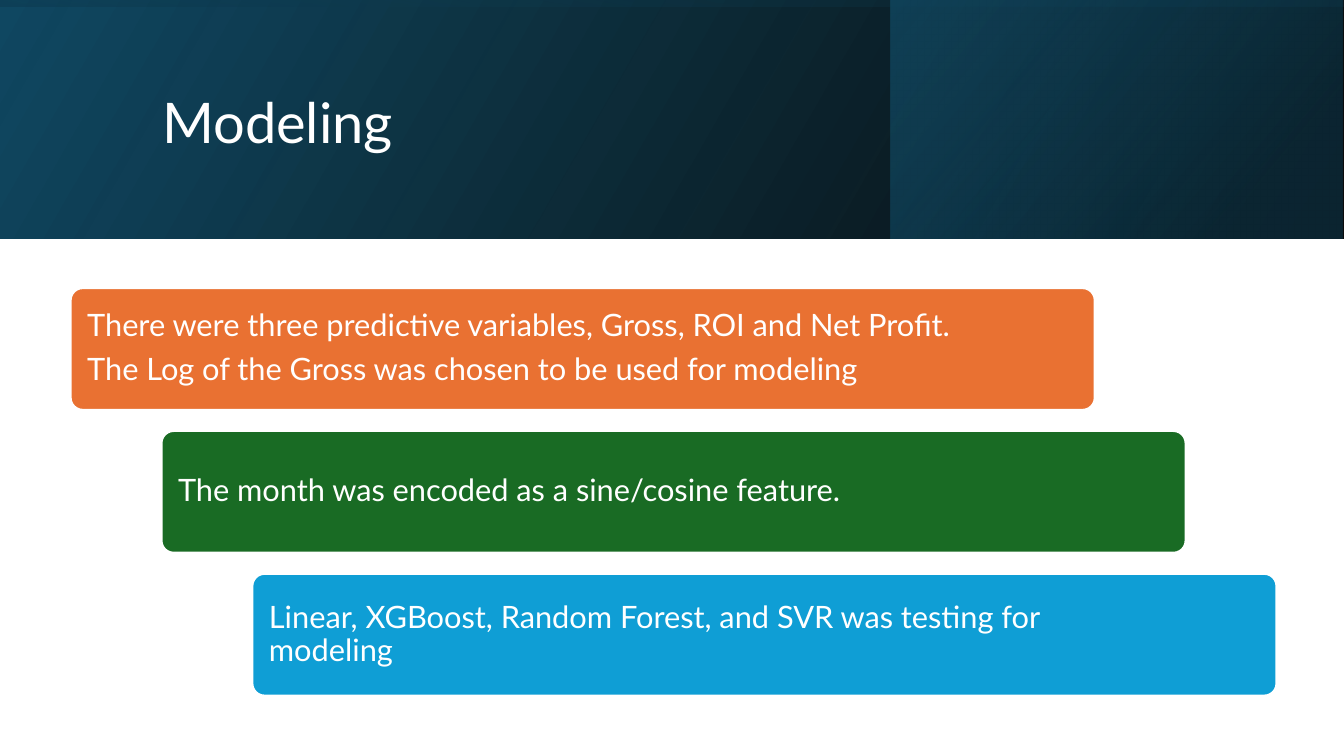
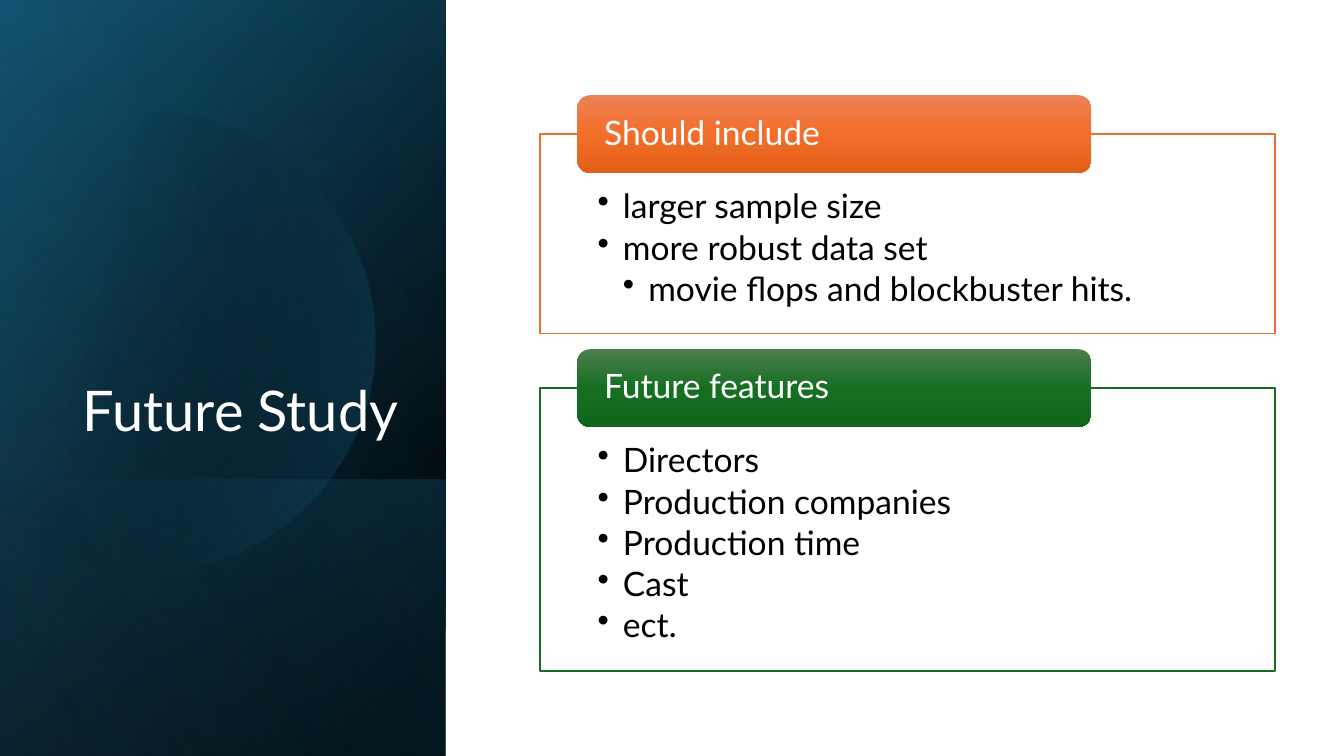
import math

import pptx
import pptx.dml.color
import pptx.enum.shapes
import pptx.enum.text
import pptx.oxml.ns
import pptx.util
from lxml import etree

Cm, Pt = pptx.util.Cm, pptx.util.Pt
qn = pptx.oxml.ns.qn
SHAPES = pptx.enum.shapes.MSO_SHAPE
ALIGN = pptx.enum.text.PP_ALIGN
ANCHOR = pptx.enum.text.MSO_ANCHOR

# Content
MODELING_TITLE = "Modeling"
MODELING_STEPS = [
    ("orange", ["There were three predictive variables, Gross, ROI and Net Profit.",
                "The Log of the Gross was chosen to be used for modeling"]),
    ("green", ["The month was encoded as a sine/cosine feature."]),
    ("blue", ["Linear, XGBoost, Random Forest, and SVR was testing for modeling"]),
]
FUTURE_TITLE = "Future Study"
FUTURE_CARDS = [  # line colour, heading, (indent level, text)
    ("orange", "Should include", [(0, "larger sample size"), (0, "more robust data set"),
                                  (1, "movie flops and blockbuster hits.")]),
    ("green", "Future features", [(0, "Directors"), (0, "Production companies"),
                                  (0, "Production time"), (0, "Cast"), (0, "ect.")]),
]

# Shared style, lengths in centimetres
FONT = "Lato"
COLORS = {
    "white": "FFFFFF", "black": "000000", "orange": "E97132", "green": "196B24",
    "blue": "0F9ED5", "navy": "104862", "deep": "0B3041", "teal": "156082", "sky": "46B1E1",
    "orange light": "ED8257", "orange mid": "F26E29", "orange dark": "E25F1A",
    "green light": "4D7E50", "green mid": "156F21", "green dark": "0F661B",
}
SLIDE_WIDTH, SLIDE_HEIGHT = 33.87, 19.05
BAND_HEIGHT = 6.02
SIDE_WIDTH = 11.23
BULLET_INDENT = 0.64

# Panels: box (left, top, width, height), rotation, angle, stops (position, colour, opacity)
BAND_PANELS = [
    ((0, 0, SLIDE_WIDTH, BAND_HEIGHT), 0, 330, [(0, "black", 96), (100, "navy", 100)]),
    ((22.45, 0, 11.38, BAND_HEIGHT), 0, 320, [(19, "deep", 68), (100, "teal", 48)]),
    ((0, 0, SLIDE_WIDTH, BAND_HEIGHT), 270, 350, [(23, "navy", 16), (99, "black", 45)]),
]
SIDE_BOX = (0, 0, SIDE_WIDTH, SLIDE_HEIGHT)
SIDE_PANELS = [
    (SIDE_BOX, 90, 50, [(8, "black", 100), (100, "navy", 100)]),
    (SIDE_BOX, 90, 30, [(0, "black", 0), (99, "teal", 46)]),
    ((0, 12.09, SIDE_WIDTH, 6.96), 90, 130, [(2, "teal", 29), (100, "black", 30)]),
]
SIDE_GLOW = (SIDE_BOX, 90, 120, [(0, "black", 0), (99, "sky", 11)])
DISC_CENTER, DISC_RADIUS = (3.64, 8.6), 5.82
DISC_STOPS = [(29, "black", 0), (100, "teal", 43)]


def rgb(color):
    return pptx.dml.color.RGBColor.from_string(COLORS[color])


def fill_gradient(shape, angle, stops):
    shape.fill.gradient()
    gradient = shape.element.spPr.find(qn("a:gradFill"))
    gradient.clear()
    gradient.set("rotWithShape", "1")
    stop_list = etree.SubElement(gradient, qn("a:gsLst"))
    for position, color, opacity in stops:
        stop = etree.SubElement(stop_list, qn("a:gs"), pos=str(position * 1000))
        value = etree.SubElement(stop, qn("a:srgbClr"), val=COLORS[color])
        if opacity < 100:
            etree.SubElement(value, qn("a:alpha"), val=str(opacity * 1000))
    etree.SubElement(gradient, qn("a:lin"), ang=str(angle * 60000), scaled="0")


def add_box(slide, kind, box, fill=None, line=None, line_width=1):
    shape = slide.shapes.add_shape(kind, *(Cm(length) for length in box))
    shape.shadow.inherit = False
    if fill:
        shape.fill.solid()
        shape.fill.fore_color.rgb = rgb(fill)
    if line:
        shape.line.color.rgb = rgb(line)
        shape.line.width = Pt(line_width)
    else:
        shape.line.fill.background()
    return shape


def add_panel(slide, box, rotation, angle, stops):
    """Mirrored gradient panel; a quarter turn swaps the sides around the same centre."""
    left, top, width, height = box
    if rotation:
        left, top = left + (width - height) / 2, top + (height - width) / 2
        width, height = height, width
    panel = add_box(slide, SHAPES.RECTANGLE, (left, top, width, height))
    panel.rotation = rotation
    panel.element.spPr.find(qn("a:xfrm")).set("flipH", "1")
    fill_gradient(panel, angle, stops)


def add_disc(slide):
    """Circle cut off by the left edge of the slide."""
    center_x, center_y = DISC_CENTER
    limit = math.acos(-center_x / DISC_RADIUS)
    steps = 90
    angles = [limit * (2 * step / steps - 1) for step in range(steps + 1)]
    points = [(Cm(center_x + DISC_RADIUS * math.cos(angle)),
               Cm(center_y + DISC_RADIUS * math.sin(angle))) for angle in angles]
    builder = slide.shapes.build_freeform(*points[0])
    builder.add_line_segments(points[1:], close=True)
    disc = builder.convert_to_shape()
    disc.shadow.inherit = False
    disc.line.fill.background()
    fill_gradient(disc, 14, DISC_STOPS)


def write(shape, lines, size, color, insets, anchor=ANCHOR.MIDDLE, align=ALIGN.LEFT,
          after=0.0, bullets=False):
    """Write (level, text) lines; after is the space below as a share of the size."""
    frame = shape.text_frame
    frame.word_wrap = True
    frame.vertical_anchor = anchor
    (frame.margin_left, frame.margin_top,
     frame.margin_right, frame.margin_bottom) = (Cm(inset) for inset in insets)
    for index, (level, text) in enumerate(lines):
        paragraph = frame.paragraphs[0] if index == 0 else frame.add_paragraph()
        paragraph.alignment = align
        paragraph.line_spacing = 0.9
        paragraph.space_after = Pt(size * after)
        if bullets:
            paragraph.level = level
            properties = paragraph._p.get_or_add_pPr()
            properties.set("marL", str(Cm(BULLET_INDENT * (level + 1))))
            properties.set("indent", str(-Cm(BULLET_INDENT)))
            etree.SubElement(properties, qn("a:buChar"), char="•")
        run = paragraph.add_run()
        run.text = text
        run.font.name = FONT
        run.font.size = Pt(size)
        run.font.color.rgb = rgb(color)


def add_title(slide, text, box, anchor, align):
    title = slide.shapes.add_textbox(*(Cm(length) for length in box))
    write(title, [(0, text)], 40, "white", (0.25, 0.13, 0.25, 0.13), anchor, align)


def build_modeling(slide):
    for panel in BAND_PANELS:
        add_panel(slide, *panel)
    add_title(slide, MODELING_TITLE, (3.84, 0.97, 27, 4.37), ANCHOR.MIDDLE, ALIGN.LEFT)

    # Staircase of steps
    for index, (color, lines) in enumerate(MODELING_STEPS):
        box = (1.78 + 2.29 * index, 7.26 + 3.6 * index, 25.81, 3.07)
        step = add_box(slide, SHAPES.ROUNDED_RECTANGLE, box, color, "white", 1.5)
        step.adjustments[0] = 0.1
        write(step, [(0, line) for line in lines], 22, "white",
              (0.33, 0.33, 3.45, 0.33), after=0.35)


def build_future(slide):
    for panel in SIDE_PANELS:
        add_panel(slide, *panel)
    add_disc(slide)
    add_panel(slide, *SIDE_GLOW)
    add_title(slide, FUTURE_TITLE, (1.63, 4.67, 8.66, 6.65), ANCHOR.BOTTOM, ALIGN.RIGHT)

    # Cards grow with their lines; each heading straddles the top edge
    top, gap, heading_height = 3.38, 1.37, 1.96
    for color, heading, lines in FUTURE_CARDS:
        height = 1.88 + 1.05 * len(lines)
        card = add_box(slide, SHAPES.RECTANGLE, (13.61, top, 18.52, height), "white", color)
        write(card, lines, 24, "black", (1.45, 1.4, 1.45, 0.48), ANCHOR.TOP,
              after=0.15, bullets=True)
        label = add_box(slide, SHAPES.ROUNDED_RECTANGLE,
                        (14.55, top - heading_height / 2, 12.95, heading_height))
        fill_gradient(label, 90, [(0, f"{color} light", 100), (50, f"{color} mid", 100),
                                  (100, f"{color} dark", 100)])
        write(label, [(0, heading)], 24, "white", (0.58, 0, 0.58, 0), after=0.35)
        top += height + gap


def main():
    presentation = pptx.Presentation()
    presentation.slide_width = Cm(SLIDE_WIDTH)
    presentation.slide_height = Cm(SLIDE_HEIGHT)
    for build in (build_modeling, build_future):
        build(presentation.slides.add_slide(presentation.slide_layouts[6]))
    presentation.save("out.pptx")


if __name__ == "__main__":
    main()
